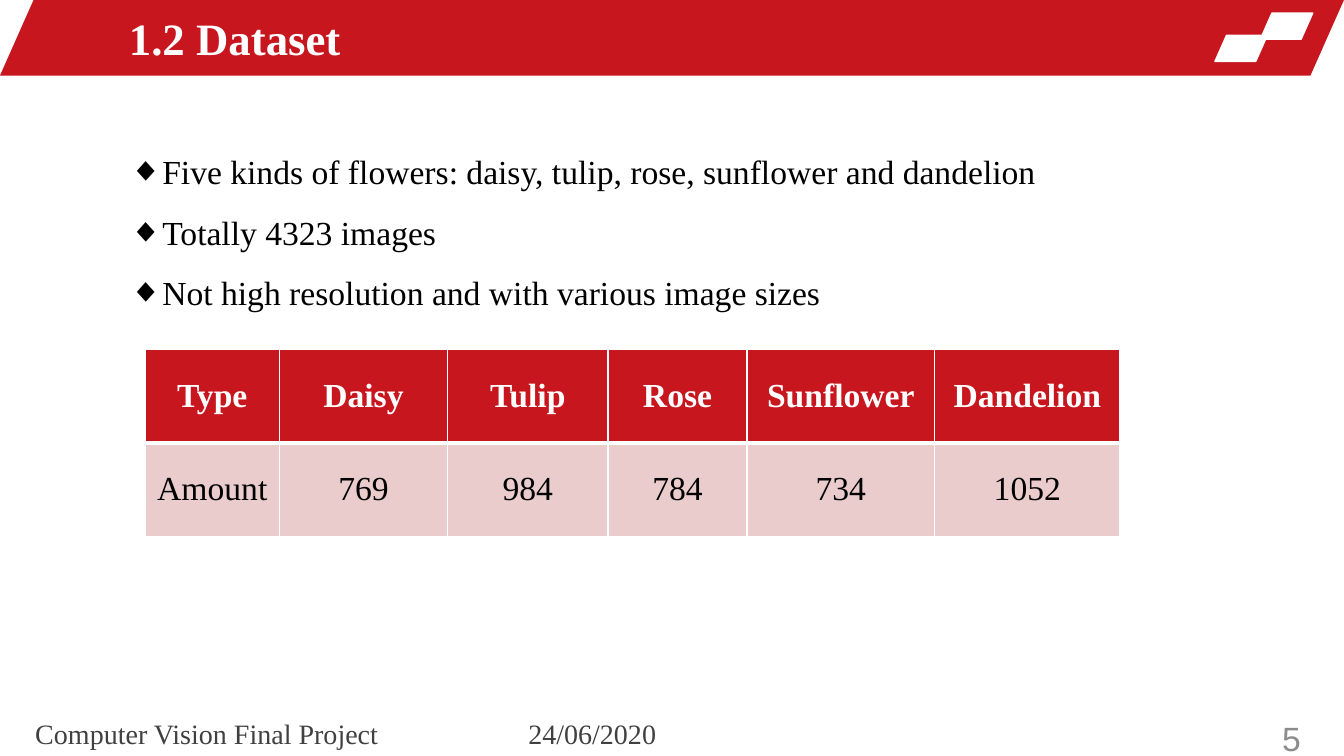
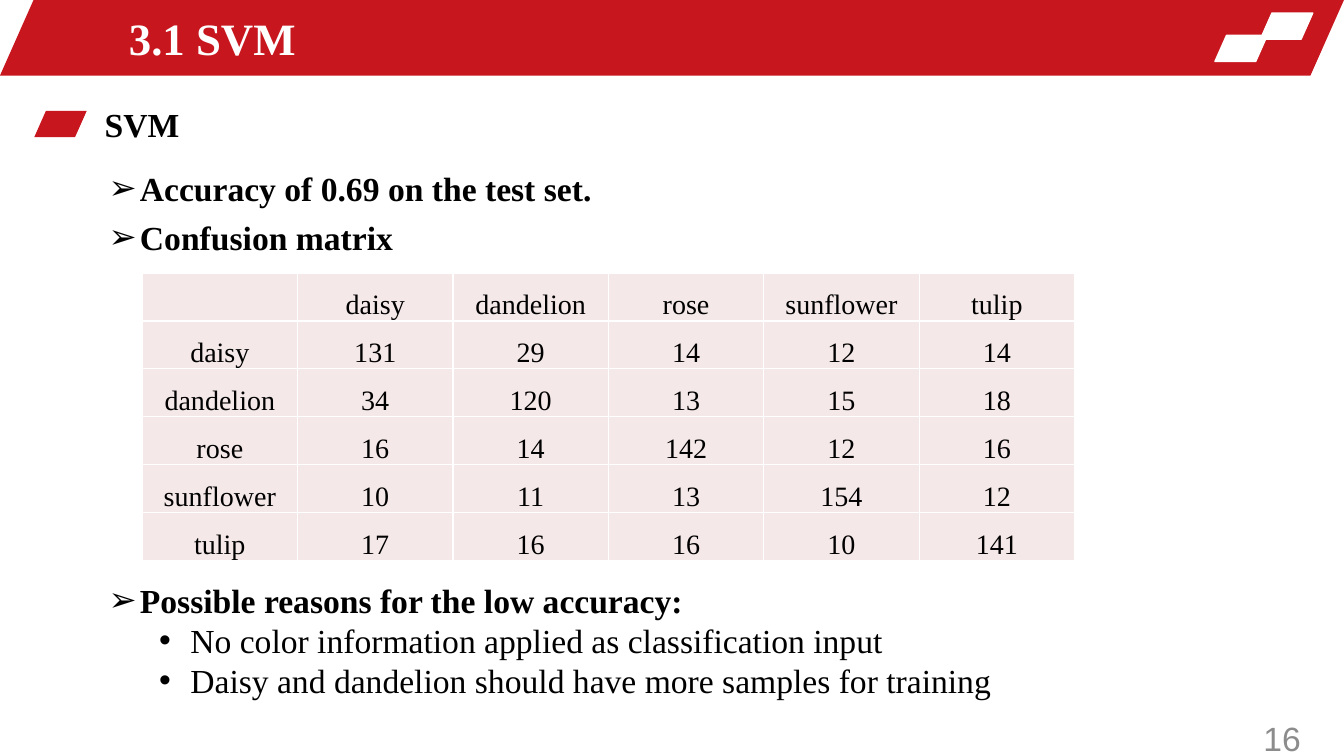
from dataclasses import dataclass
from typing import Optional

from lxml import etree
from pptx import Presentation
from pptx import util as u
from pptx.dml.color import RGBColor
from pptx.enum import shapes, text
from pptx.oxml import ns

RED = RGBColor(0xC8, 0x16, 0x1E)
ROSE = RGBColor(0xEB, 0xCC, 0xCD)
PALE = RGBColor(0xF5, 0xE8, 0xE8)
WHITE = RGBColor(0xFF, 0xFF, 0xFF)
BLACK = RGBColor(0x00, 0x00, 0x00)
CHARCOAL = RGBColor(0x40, 0x40, 0x40)
GREY = RGBColor(0x8C, 0x8C, 0x8C)
SERIF, SANS = "Times New Roman", "Arial"

LEFT, CENTER, RIGHT = text.PP_ALIGN.LEFT, text.PP_ALIGN.CENTER, text.PP_ALIGN.RIGHT
TOP, MIDDLE, BOTTOM = text.MSO_ANCHOR.TOP, text.MSO_ANCHOR.MIDDLE, text.MSO_ANCHOR.BOTTOM


@dataclass(frozen=True)
class Area:
    left: float
    top: float
    width: float
    height: float

    def lengths(self) -> list:
        return [u.Inches(n) for n in (self.left, self.top, self.width, self.height)]


@dataclass(frozen=True)
class Bullet:
    words: str
    mark: str
    bold: bool = False
    level: int = 0
    spacing: Optional[float] = None
    after: float = 0


@dataclass(frozen=True)
class CellStyle:
    fill: RGBColor
    color: RGBColor = BLACK
    bold: bool = False
    size: float = 24
    anchor: text.MSO_ANCHOR = MIDDLE
    insets: tuple = (0.1, 0.05, 0.1, 0.05)
    top_line: float = 1
    bottom_line: float = 1


HEADER = CellStyle(RED, WHITE, bold=True, bottom_line=3)
AMOUNT = CellStyle(ROSE, top_line=3)
MATRIX = CellStyle(PALE, size=20, anchor=BOTTOM, insets=(0.01, 0.01, 0.01, 0))


def write(para, words: str, *, size: float = 24, font: str = SERIF,
          color: RGBColor = BLACK, bold: bool = False, align=LEFT) -> None:
    para.alignment = align
    span = para.add_run()
    span.text = words
    span.font.size = u.Pt(size)
    span.font.name = font
    span.font.bold = bold
    span.font.color.rgb = color


def set_insets(owner, insets: tuple) -> None:
    (owner.margin_left, owner.margin_top,
     owner.margin_right, owner.margin_bottom) = [u.Inches(n) for n in insets]


def add_frame(page, area: Area, *, anchor=TOP, wrap: bool = True, insets: Optional[tuple] = None):
    frame = page.shapes.add_textbox(*area.lengths()).text_frame
    frame.word_wrap = wrap
    frame.vertical_anchor = anchor
    if insets is not None:
        set_insets(frame, insets)
    return frame


def add_label(page, area: Area, words: str, *, anchor=TOP, wrap: bool = True,
              insets: Optional[tuple] = None, **style) -> None:
    frame = add_frame(page, area, anchor=anchor, wrap=wrap, insets=insets)
    write(frame.paragraphs[0], words, **style)


def add_slant(page, area: Area, fill: RGBColor, outline: bool = False) -> None:
    """Draw a parallelogram, optionally outlined in its own colour."""
    slant = page.shapes.add_shape(shapes.MSO_SHAPE.PARALLELOGRAM, *area.lengths())
    slant.adjustments[0] = 0.444
    slant.shadow.inherit = False
    slant.fill.solid()
    slant.fill.fore_color.rgb = fill
    if outline:
        slant.line.color.rgb = fill
        slant.line.width = u.Pt(1)
    else:
        slant.line.fill.background()


def add_bullets(page, area: Area, bullets: list[Bullet]) -> None:
    frame = add_frame(page, area)
    for index, bullet in enumerate(bullets):
        para = frame.add_paragraph() if index else frame.paragraphs[0]
        para.level = bullet.level
        props = para._p.get_or_add_pPr()
        props.set("marL", str(u.Inches(0.31 + 0.5 * bullet.level)))
        props.set("indent", str(u.Inches(-0.31)))
        etree.SubElement(props, ns.qn("a:buFont")).set("typeface", SANS)
        etree.SubElement(props, ns.qn("a:buChar")).set("char", bullet.mark)
        if bullet.spacing:
            para.line_spacing = bullet.spacing
        para.space_after = u.Pt(bullet.after)
        write(para, bullet.words, bold=bullet.bold)


def style_cell(cell, words: str, style: CellStyle) -> None:
    props = cell._tc.get_or_add_tcPr()
    edges = {"lnL": 1, "lnR": 1, "lnT": style.top_line, "lnB": style.bottom_line}
    for edge, width in edges.items():
        line = etree.SubElement(props, ns.qn(f"a:{edge}"))
        line.set("w", str(u.Pt(width)))
        paint = etree.SubElement(line, ns.qn("a:solidFill"))
        etree.SubElement(paint, ns.qn("a:srgbClr")).set("val", str(WHITE))
    cell.fill.solid()
    cell.fill.fore_color.rgb = style.fill
    cell.vertical_anchor = style.anchor
    set_insets(cell, style.insets)
    if words:
        write(cell.text_frame.paragraphs[0], words, size=style.size,
              color=style.color, bold=style.bold, align=CENTER)


def add_grid(page, area: Area, rows: list[list[str]], styles: list[CellStyle],
             widths: Optional[list[float]] = None) -> None:
    """Add a table with one style per row; columns are equal unless widths are given."""
    count = len(rows[0])
    table = page.shapes.add_table(len(rows), count, *area.lengths()).table
    table.first_row = table.horz_banding = False
    for column, width in zip(table.columns, widths or [area.width / count] * count):
        column.width = u.Inches(width)
    for r, (row, style) in enumerate(zip(rows, styles)):
        table.rows[r].height = u.Inches(area.height / len(rows))
        for c, words in enumerate(row):
            style_cell(table.cell(r, c), words, style)


def add_page(deck, title: str, number: int):
    """Add a slide with the red band, its title and the page number."""
    page = deck.slides.add_slide(deck.slide_layouts[6])
    add_slant(page, Area(0, 0, 13.33, 0.75), RED)
    for left, top in ((12.5, 0.13), (12.05, 0.35)):
        add_slant(page, Area(left, top, 0.52, 0.26), WHITE, outline=True)
    add_label(page, Area(1.18, 0.05, 7.74, 0.65), title, anchor=MIDDLE,
              size=32, color=WHITE, bold=True)
    add_label(page, Area(11.87, 7.13, 1.13, 0.38), str(number), anchor=MIDDLE,
              font=SANS, color=GREY, align=RIGHT)
    return page


def build_dataset(deck) -> None:
    page = add_page(deck, "1.2 Dataset", 5)
    for left, words in ((0.35, "Computer Vision Final Project"), (5.24, "24/06/2020")):
        add_label(page, Area(left, 7.04, 4.54, 0.46), words, anchor=MIDDLE,
                  insets=(0, 0, 0, 0), size=20, color=CHARCOAL)
    facts = [
        "Five kinds of flowers: daisy, tulip, rose, sunflower and dandelion",
        "Totally 4323 images",
        "Not high resolution and with various image sizes",
    ]
    add_bullets(page, Area(1.18, 1.25, 9.42, 1.85),
                [Bullet(fact, "◆", spacing=1.5) for fact in facts])
    add_grid(
        page, Area(1.44, 3.47, 9.67, 1.85),
        [["Type", "Daisy", "Tulip", "Rose", "Sunflower", "Dandelion"],
         ["Amount", "769", "984", "784", "734", "1052"]],
        [HEADER, AMOUNT],
        widths=[1.33, 1.67, 1.59, 1.38, 1.86, 1.84],
    )


def build_svm(deck) -> None:
    page = add_page(deck, "3.1 SVM", 16)
    add_slant(page, Area(0.34, 1.1, 0.52, 0.26), RED)
    add_label(page, Area(0.94, 0.98, 0.95, 0.5), "SVM", wrap=False, bold=True)
    add_bullets(page, Area(0.98, 1.62, 10.7, 0.96), [
        Bullet("Accuracy of 0.69 on the test set.", "➢", bold=True, after=6),
        Bullet("Confusion matrix", "➢", bold=True),
    ])
    flowers = ["daisy", "dandelion", "rose", "sunflower", "tulip"]
    counts = [
        [131, 29, 14, 12, 14],
        [34, 120, 13, 15, 18],
        [16, 14, 142, 12, 16],
        [10, 11, 13, 154, 12],
        [17, 16, 16, 10, 141],
    ]
    rows = [["", *flowers]]
    rows += [[flower, *map(str, row)] for flower, row in zip(flowers, counts)]
    add_grid(page, Area(1.41, 2.71, 9.25, 2.85), rows, [MATRIX] * len(rows))
    add_bullets(page, Area(0.98, 5.7, 10.7, 1.36), [
        Bullet("Possible reasons for the low accuracy:", "➢", bold=True),
        Bullet("No color information applied as classification input", "•", level=1),
        Bullet("Daisy and dandelion should have more samples for training", "•", level=1),
    ])


def main() -> None:
    deck = Presentation()
    deck.slide_width, deck.slide_height = u.Inches(13.33), u.Inches(7.5)
    build_dataset(deck)
    build_svm(deck)
    deck.save("out.pptx")


if __name__ == "__main__":
    main()
